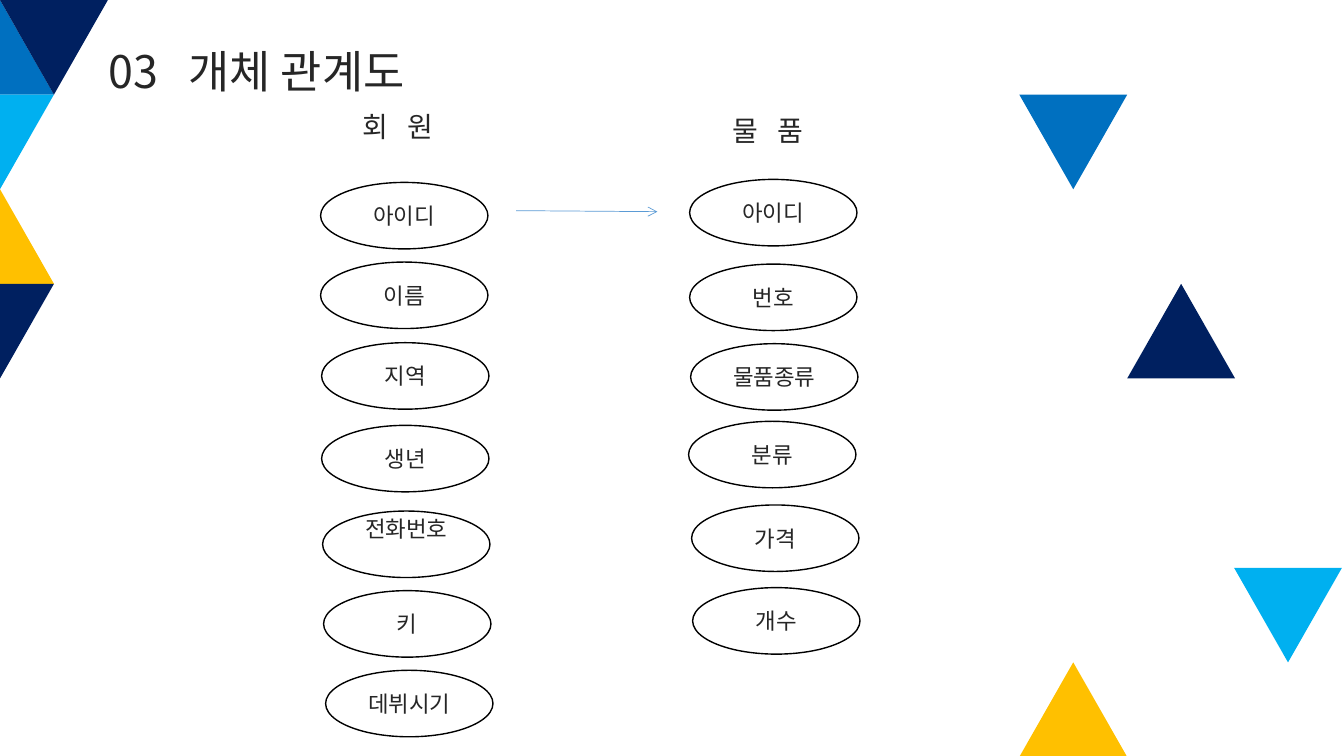
from lxml import etree
from pptx import Presentation
from pptx.dml.color import RGBColor
from pptx.enum.shapes import MSO_CONNECTOR, MSO_SHAPE
from pptx.enum.text import MSO_ANCHOR, MSO_AUTO_SIZE, PP_ALIGN
from pptx.oxml.ns import qn
from pptx.util import Inches, Pt

ELLIPSE, TRIANGLE = MSO_SHAPE.OVAL, MSO_SHAPE.ISOSCELES_TRIANGLE
STRAIGHT = MSO_CONNECTOR.STRAIGHT
LEFT, CENTER = PP_ALIGN.LEFT, PP_ALIGN.CENTER
TOP, MIDDLE = MSO_ANCHOR.TOP, MSO_ANCHOR.MIDDLE
NO_AUTOFIT = MSO_AUTO_SIZE.NONE

FONT = "Noto Sans CJK KR"
TEXT, WHITE, BLACK, ARROW = "262626", "FFFFFF", "000000", "5B9BD5"
BLUE, NAVY, SKY, GOLD = "0070C0", "002060", "00B0F0", "FFC000"
TRIANGLE_W, TRIANGLE_H = 1.07, 7.51 / 8
OVAL_W, OVAL_H = 1.66, 0.66
MARGIN = 0.05

# Each attribute: name, left, top, upward shift of its text
MEMBER = [
    ("아이디", 3.18, 1.81, 0),
    ("이름", 3.18, 2.6, 0),
    ("지역", 3.19, 3.4, 0),
    ("생년", 3.19, 4.22, 0),
    ("전화번호", 3.2, 5.07, 0.16),
    ("키", 3.21, 5.86, 0),
    ("데뷔시기", 3.23, 6.65, 0),
]
GOODS = [
    ("아이디", 6.84, 1.78, 0),
    ("번호", 6.84, 2.62, 0),
    ("물품종류", 6.85, 3.41, 0),
    ("분류", 6.83, 4.18, 0),
    ("가격", 6.86, 5.01, 0),
    ("개수", 6.87, 5.83, 0),
]


def rgb(color):
    return RGBColor.from_string(color)


def inches(*lengths):
    return [Inches(length) for length in lengths]


def paint(shape, color):
    shape.shadow.inherit = False
    shape.fill.solid()
    shape.fill.fore_color.rgb = rgb(color)
    shape.line.fill.background()


def set_font(paragraph, size):
    """Set the font for Latin and Korean letters alike."""
    font = paragraph.font
    font.size, font.name = Pt(size), FONT
    font.color.rgb = rgb(TEXT)
    properties = paragraph._p.pPr.find(qn("a:defRPr"))
    etree.SubElement(properties, qn("a:ea"), typeface=FONT)


def write_heading(shape, first, rest, size, gap):
    """Write two parts, with the space between them widened by gap points."""
    frame = shape.text_frame
    frame.word_wrap = False
    frame.auto_size = NO_AUTOFIT
    frame.vertical_anchor = TOP
    paragraph = frame.paragraphs[0]
    paragraph.alignment = LEFT
    for part in (first, " ", rest):
        run = paragraph.add_run()
        run.text = part
        if part == " ":
            run._r.get_or_add_rPr().set("spc", str(gap * 100))
    set_font(paragraph, size)


def add_title(slide, left, top, width, height):
    title = slide.shapes.title
    title.left, title.top, title.width, title.height = inches(left, top, width, height)
    write_heading(title, "03", "개체 관계도", 32, 14)


def add_left_edge(slide, left, top):
    """Stack half triangles down the edge, pointing up and down in turn."""
    for row, color in enumerate((BLUE, SKY, GOLD, NAVY)):
        upper = top + row * TRIANGLE_H
        lower = upper + TRIANGLE_H
        base = lower if row % 2 == 0 else upper
        outline = slide.shapes.build_freeform(*inches(left, upper), scale=1.0)
        outline.add_line_segments(
            [inches(left + TRIANGLE_W / 2, base), inches(left, lower)], close=True)
        paint(outline.convert_to_shape(), color)


def add_triangle(slide, left, row, color, rotation):
    triangle = slide.shapes.add_shape(
        TRIANGLE, *inches(left, row * TRIANGLE_H, TRIANGLE_W, TRIANGLE_H))
    triangle.rotation = rotation
    paint(triangle, color)


def add_decoration(slide):
    add_left_edge(slide, 0, 0)
    for left, row, color, rotation in (
        (0, 0, NAVY, 180),
        (10.11, 1, BLUE, 180),
        (11.18, 3, NAVY, 0),
        (12.24, 6, SKY, 180),
        (10.11, 7, GOLD, 0),
    ):
        add_triangle(slide, left, row, color, rotation)


def add_attribute(slide, name, left, top, lift):
    oval = slide.shapes.add_shape(ELLIPSE, *inches(left, top, OVAL_W, OVAL_H))
    paint(oval, WHITE)
    oval.line.color.rgb = rgb(BLACK)
    oval.line.width = Pt(1)
    frame = oval.text_frame
    frame.vertical_anchor = MIDDLE
    frame.margin_top, frame.margin_bottom = inches(MARGIN - lift, MARGIN + lift)
    paragraph = frame.paragraphs[0]
    paragraph.text = name
    paragraph.alignment = CENTER
    set_font(paragraph, 16)


def add_entity(slide, left, top, width, first, rest, attributes):
    heading = slide.shapes.add_textbox(*inches(left, top, width, 0.44))
    write_heading(heading, first, rest, 20, 9)
    for attribute in attributes:
        add_attribute(slide, *attribute)


def add_relation(slide, start, end):
    relation = slide.shapes.add_connector(STRAIGHT, *inches(*start, *end))
    relation.line.color.rgb = rgb(ARROW)
    relation.line.width = Pt(0.5)
    etree.SubElement(relation.line._get_or_add_ln(), qn("a:tailEnd"), type="arrow")
    etree.SubElement(relation._element.spPr, qn("a:effectLst"))


def main():
    deck = Presentation()
    deck.slide_width, deck.slide_height = inches(13.33, 7.5)
    slide = deck.slides.add_slide(deck.slide_layouts.get_by_name("Title Only"))
    add_decoration(slide)
    add_title(slide, 0.98, 0.38, 3.28, 0.64)
    add_entity(slide, 3.5, 1.04, 0.99, "회", "원", MEMBER)
    add_entity(slide, 7.17, 1.08, 1.04, "물", "품", GOODS)
    add_relation(slide, (5.12, 2.09), (6.52, 2.1))
    deck.save("out.pptx")


if __name__ == "__main__":
    main()
